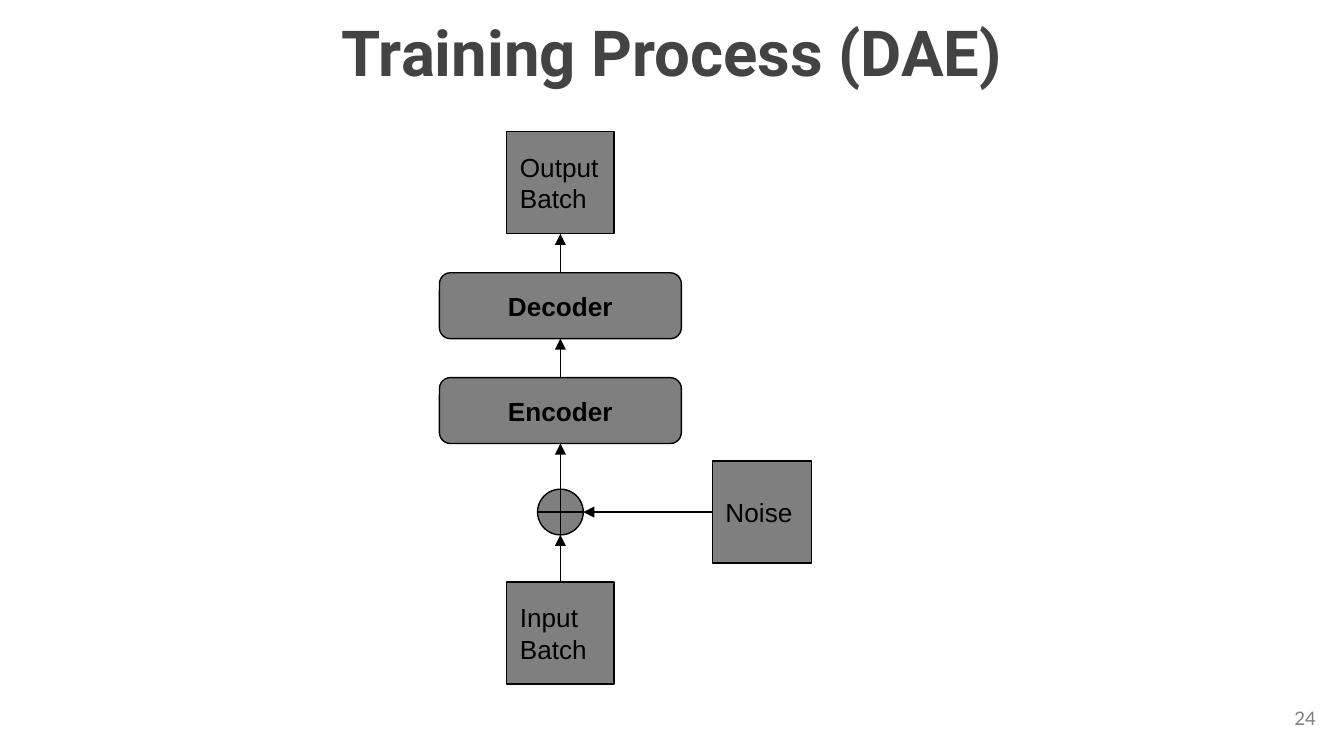
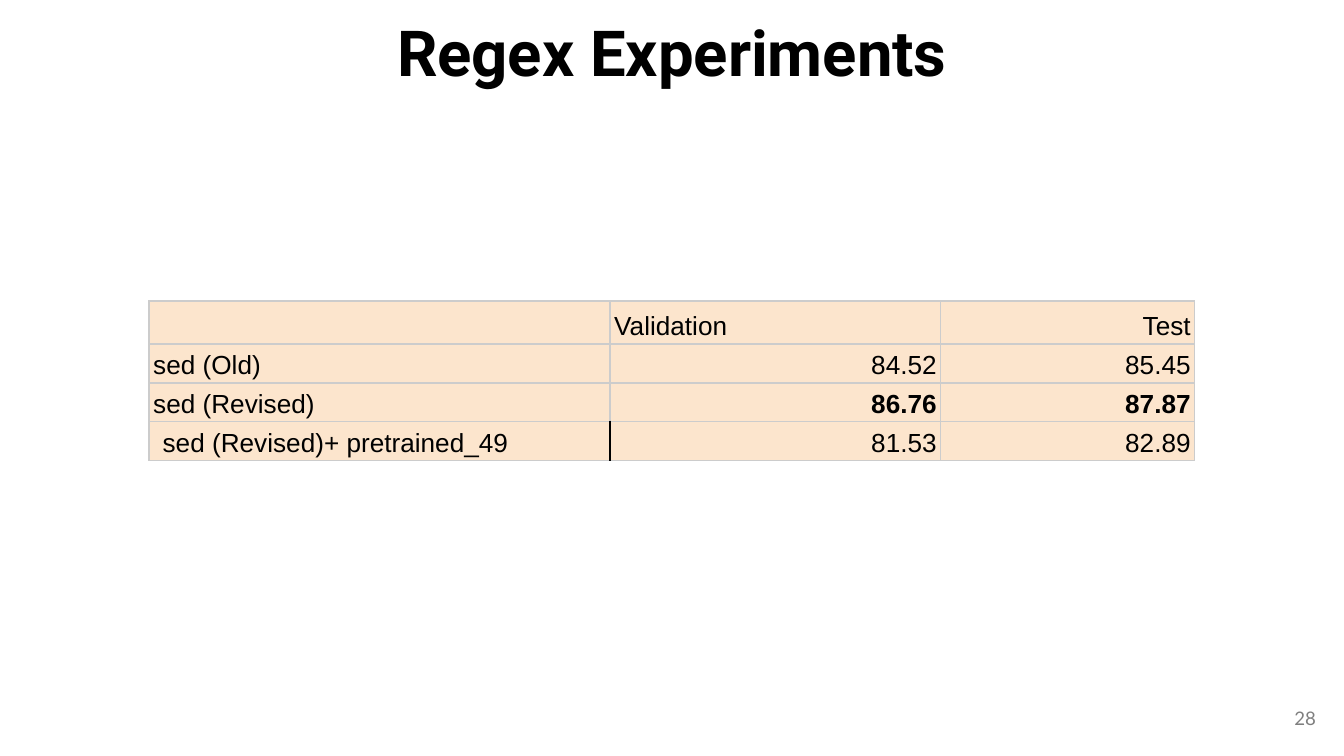
from dataclasses import dataclass

from lxml import etree
from pptx import Presentation
from pptx.dml.color import RGBColor
from pptx.enum import shapes, text
from pptx.oxml import ns
from pptx.util import Inches, Pt

BLACK = "000000"
GREY = "7F7F7F"
DARK_GREY = "434343"
PEACH = "FCE5CD"
BORDER_GREY = "CCCCCC"
BODY_FONT = "Arial"
BODY_SIZE = 14
LINE_WIDTH = 0.75
BORDER_WIDTH = 0.94
TOP, LEFT, BOTTOM, RIGHT = range(4)

Shape = shapes.MSO_SHAPE
Align = text.PP_ALIGN
Anchor = text.MSO_ANCHOR


@dataclass
class Block:
    label: str
    left: float
    top: float
    width: float
    height: float
    kind: Shape = Shape.RECTANGLE

    @property
    def is_layer(self) -> bool:
        return self.kind == Shape.ROUNDED_RECTANGLE


@dataclass
class Arrow:
    start: str
    start_side: int
    end: str
    end_side: int


ADDER = "adder"
BLOCKS = [
    Block("Encoder", 3.27, 2.81, 1.8, 0.49, Shape.ROUNDED_RECTANGLE),
    Block("Decoder", 3.27, 2.03, 1.8, 0.49, Shape.ROUNDED_RECTANGLE),
    Block("Input Batch", 3.77, 4.33, 0.8, 0.76),
    Block("Noise", 5.3, 3.43, 0.74, 0.76),
    Block("Output Batch", 3.77, 0.98, 0.8, 0.76),
    Block(ADDER, 4, 3.64, 0.34, 0.34, Shape.FLOWCHART_OR),
]
ARROWS = [
    Arrow("Input Batch", TOP, ADDER, BOTTOM),
    Arrow("Noise", LEFT, ADDER, RIGHT),
    Arrow(ADDER, TOP, "Encoder", BOTTOM),
    Arrow("Encoder", TOP, "Decoder", BOTTOM),
    Arrow("Decoder", TOP, "Output Batch", BOTTOM),
]

SCORES = [
    ["", "Validation", "Test"],
    ["sed (Old)", "84.52", "85.45"],
    ["sed (Revised)", "86.76", "87.87"],
    ["sed (Revised)+ pretrained_49", "81.53", "82.89"],
]
COLUMN_WIDTHS = [3.43, 2.46, 1.89]
ROW_HEIGHT = 0.22
BEST_ROW = 2
LAST_ROW = len(SCORES) - 1


def rgb(colour: str) -> RGBColor:
    return RGBColor.from_string(colour)


def style_text(para, size, colour, font=BODY_FONT, bold=False, align=Align.LEFT):
    para.alignment = align
    for span in para.runs:
        span.font.name = font
        span.font.size = Pt(size)
        span.font.bold = bold
        span.font.color.rgb = rgb(colour)


def set_margins(holder, side: float, top: float, bottom: float):
    holder.margin_left = holder.margin_right = Inches(side)
    holder.margin_top = Inches(top)
    holder.margin_bottom = Inches(bottom)


def write(shape, wording: str, anchor, **style):
    frame = shape.text_frame
    frame.word_wrap = True
    frame.vertical_anchor = anchor
    set_margins(frame, 0.1, 0.1, 0.1)
    frame.text = wording
    style_text(frame.paragraphs[0], **style)


def add_label(page, wording, left, top, width, height, anchor, **style):
    box = page.shapes.add_textbox(
        Inches(left), Inches(top), Inches(width), Inches(height))
    write(box, wording, anchor, **style)


def add_page(deck, title: str, number: int, title_colour: str):
    page = deck.slides.add_slide(deck.slide_layouts[6])
    add_label(page, title, 0.34, 0, 9.32, 0.91, Anchor.TOP, size=34,
              colour=title_colour, font="Roboto", bold=True, align=Align.CENTER)
    add_label(page, str(number), 9.29, 5.13, 0.6, 0.43, Anchor.MIDDLE, size=10,
              colour=GREY, font="Lato", align=Align.RIGHT)
    return page


def add_block(page, block: Block):
    shape = page.shapes.add_shape(
        block.kind, Inches(block.left), Inches(block.top),
        Inches(block.width), Inches(block.height))
    shape.shadow.inherit = False
    shape.fill.solid()
    shape.fill.fore_color.rgb = rgb(GREY)
    shape.line.color.rgb = rgb(BLACK)
    shape.line.width = Pt(LINE_WIDTH)
    if block.label != ADDER:
        write(shape, block.label, Anchor.MIDDLE, size=BODY_SIZE, colour=BLACK,
              bold=block.is_layer,
              align=Align.CENTER if block.is_layer else Align.LEFT)
    return shape


def side_middle(shape, side: int) -> tuple[int, int]:
    across = {LEFT: 0, RIGHT: shape.width}.get(side, shape.width // 2)
    down = {TOP: 0, BOTTOM: shape.height}.get(side, shape.height // 2)
    return shape.left + across, shape.top + down


def add_arrow(page, arrow: Arrow, drawn: dict):
    start, end = drawn[arrow.start], drawn[arrow.end]
    line = page.shapes.add_connector(
        shapes.MSO_CONNECTOR.STRAIGHT,
        *side_middle(start, arrow.start_side), *side_middle(end, arrow.end_side))
    if arrow.start != ADDER:
        line.begin_connect(start, arrow.start_side)
    if arrow.end != ADDER:
        line.end_connect(end, arrow.end_side)
    line.line.color.rgb = rgb(BLACK)
    line.line.width = Pt(LINE_WIDTH)
    properties = line._element.spPr
    outline = properties.find(ns.qn("a:ln"))
    etree.SubElement(outline, ns.qn("a:tailEnd"), type="triangle")
    etree.SubElement(properties, ns.qn("a:effectLst"))


def add_borders(cell, colours: dict[str, str]):
    """Draw the four cell borders; colours overrides the grey by side (L, R, T, B)."""
    properties = cell._tc.get_or_add_tcPr()
    for side in "LRTB":
        border = etree.SubElement(
            properties, ns.qn(f"a:ln{side}"), w=str(Pt(BORDER_WIDTH)))
        fill = etree.SubElement(border, ns.qn("a:solidFill"))
        etree.SubElement(fill, ns.qn("a:srgbClr"), val=colours.get(side, BORDER_GREY))


def fill_cell(cell, wording: str, row: int, column: int):
    dark_side = {0: "R", 1: "L"}.get(column) if row == LAST_ROW else None
    add_borders(cell, {dark_side: BLACK} if dark_side else {})
    cell.fill.solid()
    cell.fill.fore_color.rgb = rgb(PEACH)
    cell.vertical_anchor = Anchor.BOTTOM
    set_margins(cell, 0.1 if (row, column) == (LAST_ROW, 0) else 0.03, 0, 0.02)
    if wording:
        cell.text = wording
        para = cell.text_frame.paragraphs[0]
        para.line_spacing = 1.15
        left_aligned = column == 0 or wording == "Validation"
        style_text(para, BODY_SIZE, BLACK, bold=row == BEST_ROW and column > 0,
                   align=Align.LEFT if left_aligned else Align.RIGHT)


def add_scores(page):
    table = page.shapes.add_table(
        len(SCORES), len(COLUMN_WIDTHS), Inches(1.11), Inches(2.24),
        Inches(sum(COLUMN_WIDTHS)), Inches(ROW_HEIGHT * len(SCORES))).table
    table.first_row = table.horz_banding = False
    for column, width in zip(table.columns, COLUMN_WIDTHS):
        column.width = Inches(width)
    for row, wordings in enumerate(SCORES):
        for column, wording in enumerate(wordings):
            fill_cell(table.cell(row, column), wording, row, column)


def main():
    deck = Presentation()
    deck.slide_width = Inches(10)
    deck.slide_height = Inches(10 * 9 / 16)

    training = add_page(deck, "Training Process (DAE)", 24, DARK_GREY)
    drawn = {block.label: add_block(training, block) for block in BLOCKS}
    for arrow in ARROWS:
        add_arrow(training, arrow, drawn)

    experiments = add_page(deck, "Regex Experiments", 28, BLACK)
    add_scores(experiments)
    deck.save("out.pptx")


if __name__ == "__main__":
    main()
